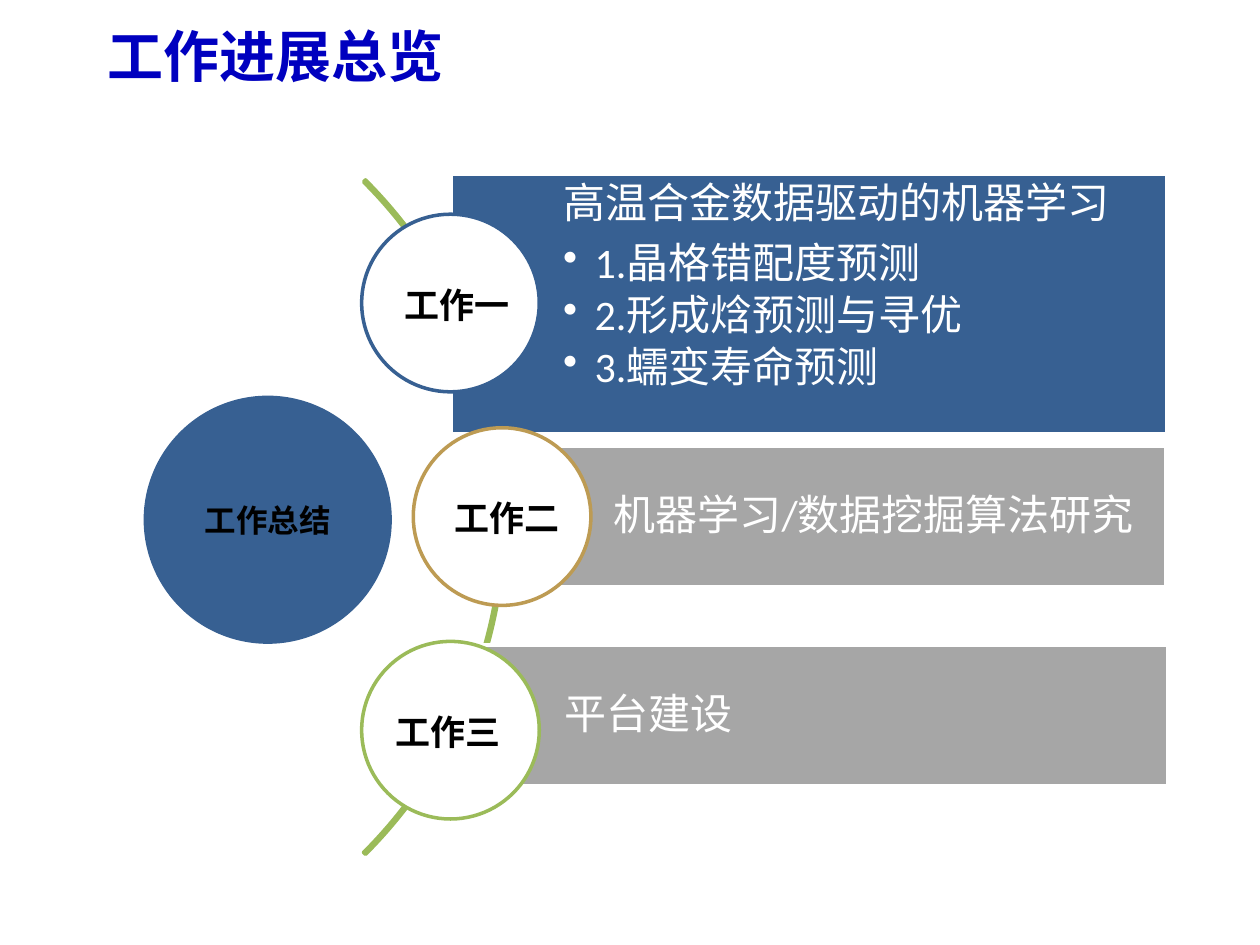
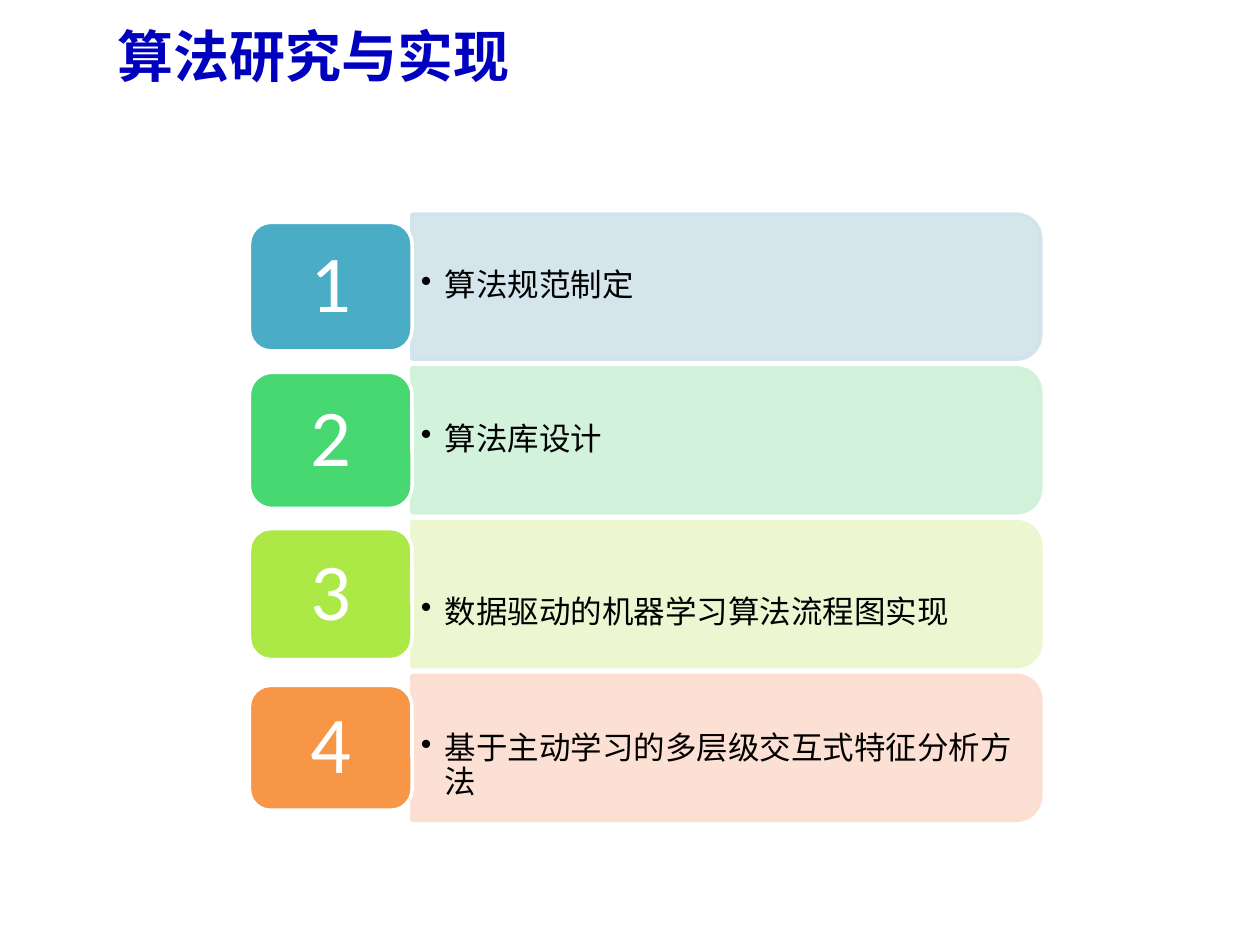
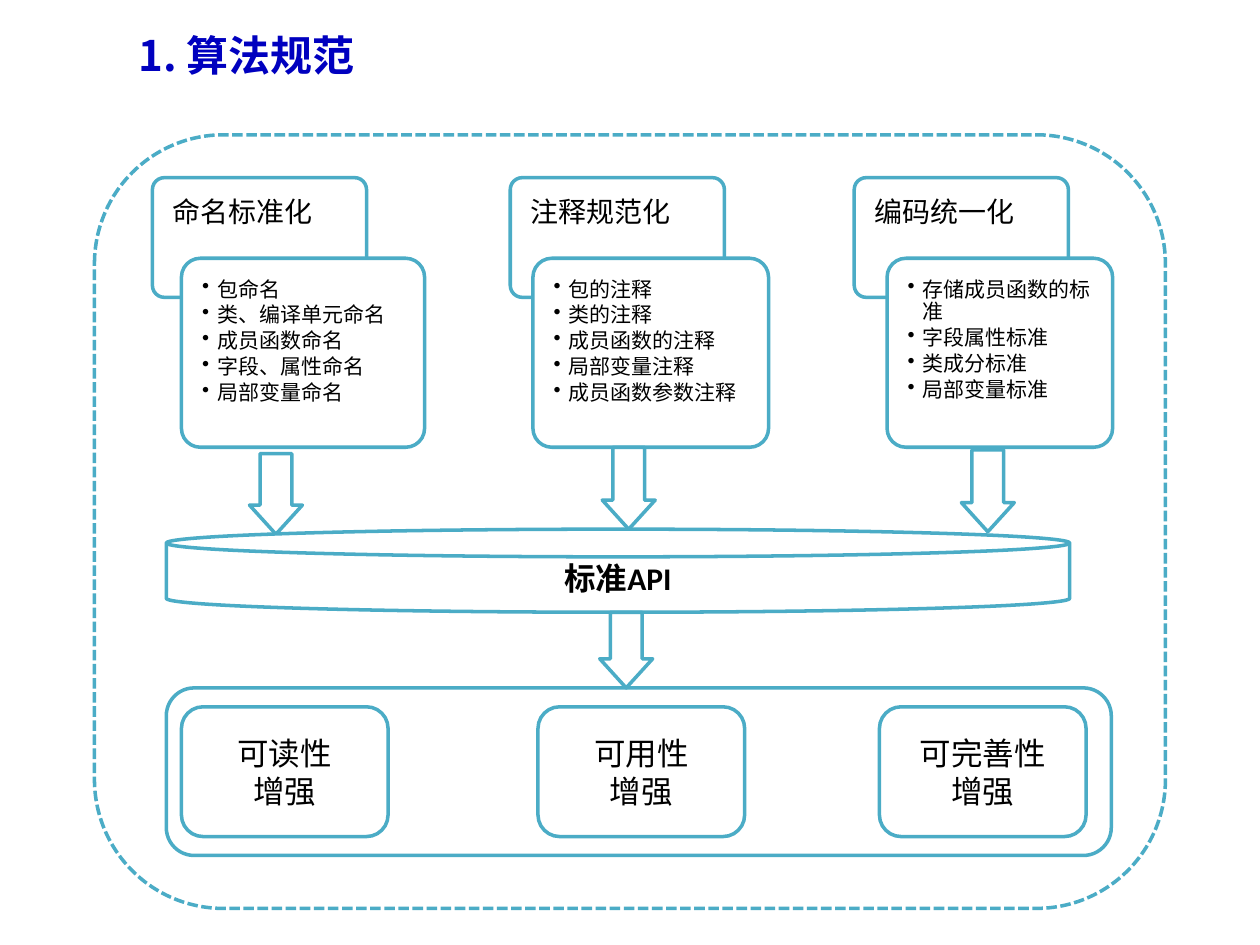
from lxml.etree import SubElement
from pptx import Presentation
from pptx.dml.color import RGBColor
from pptx.enum.dml import MSO_LINE
from pptx.enum.shapes import MSO_SHAPE as KIND
from pptx.enum.text import MSO_ANCHOR, PP_ALIGN
from pptx.oxml.ns import qn
from pptx.util import Emu, Inches, Pt

WIDE, HIGH = Inches(10), Inches(7.5)
COLS, ROWS = 100, 75
NAVY, GRAY, GREEN, GOLD, TEAL = "376092", "A6A6A6", "9BBB59", "BD9B53", "4BACC6"
BLUE, BLACK, WHITE = "0000BF", "000000", "FFFFFF"
BODY, HEAD = "Calibri", "Noto Sans CJK SC"
LEFT, MID = PP_ALIGN.LEFT, PP_ALIGN.CENTER
TOP, CENTER = MSO_ANCHOR.TOP, MSO_ANCHOR.MIDDLE


def across(cols):
    """Return the length of a number of grid columns."""
    return Emu(round(WIDE * cols / COLS))


def down(rows):
    """Return the length of a number of grid rows."""
    return Emu(round(HIGH * rows / ROWS))


def cell(left, top, wide, high):
    """Turn grid places into slide lengths."""
    return across(left), down(top), across(wide), down(high)


def paint(fmt, tone, alpha=None):
    """Give a fill or line format a solid colour."""
    fmt.solid()
    fmt.fore_color.rgb = RGBColor.from_string(tone)
    if alpha:
        for node in fmt._xPr.iter(qn("a:srgbClr")):
            SubElement(node, qn("a:alpha"), val=str(alpha * 1000))


def dot(para, indent):
    """Add a hanging bullet to a paragraph."""
    para.level = 1
    props = para._p.get_or_add_pPr()
    props.set("marL", str(across(indent)))
    props.set("indent", str(-across(indent)))
    SubElement(props, qn("a:buChar"), char="•")


def style(para, size, tone=BLACK, bold=False, face=BODY):
    """Format the runs of a paragraph."""
    for run in para.runs:
        run.font.name, run.font.size, run.font.bold = face, Pt(size), bold
        paint(run.font.fill, tone)


def write(shape, lines, size, tone=BLACK, bold=False, align=LEFT,
          anchor=CENTER, pad=(1, 0.5, 1, 0.5), indent=0, plain=0, tight=False):
    """Fill a shape with paragraphs, bulleted after the plain ones."""
    frame = shape.text_frame
    frame.word_wrap, frame.vertical_anchor = True, anchor
    frame.margin_left, frame.margin_right = across(pad[0]), across(pad[2])
    frame.margin_top, frame.margin_bottom = down(pad[1]), down(pad[3])
    frame.text = "\n".join(lines)
    for spot, para in enumerate(frame.paragraphs):
        listed = indent and spot >= plain
        if listed:
            dot(para, indent)
        para.alignment = align
        if tight:
            para.line_spacing = 0.9
            para.space_after = Pt(size * (0.15 if listed else 0.35))
        style(para, size, tone, bold)


def form(slide, kind, place, fill=WHITE, edge=None, alpha=None, bends=()):
    """Draw a preset shape on the grid."""
    shape = slide.shapes.add_shape(kind, *cell(*place))
    shape.shadow.inherit = False
    paint(shape.fill, fill, alpha)
    if edge:
        paint(shape.line.fill, edge, alpha)
        shape.line.width = Pt(2)
    else:
        shape.line.fill.background()
    for spot, bend in enumerate(bends):
        shape.adjustments[spot] = bend
    return shape


def label(slide, place, lines, size, **look):
    """Place free text on the grid."""
    write(slide.shapes.add_textbox(*cell(*place)), lines, size, **look)


def start(deck, text, left, size=32):
    """Add a slide with its title."""
    slide = deck.slides.add_slide(deck.slide_layouts[5])
    title = slide.shapes.title
    title.left, title.top, title.width, title.height = cell(left, 0, 90, 8.7)
    title.text_frame.text = text
    para = title.text_frame.paragraphs[0]
    para.alignment = LEFT
    style(para, size, BLUE, True, HEAD)
    for run in para.runs:
        SubElement(run._r.get_or_add_rPr(), qn("a:ea"), typeface=HEAD)
    return slide


def survey(deck):
    """Build the overview of the three works."""
    slide = start(deck, "工作进展总览", 7.5)
    hub = form(slide, KIND.OVAL, (11.4, 31.4, 19.7, 19.7), NAVY)
    write(hub, ["工作总结"], 18, bold=True, align=MID)
    form(slide, KIND.BLOCK_ARC, (-35.6, 3.2, 75.7, 75.7), GREEN, GREEN,
         bends=(189, 27, 0.003))
    works = [
        ("工作一", 31.1, 28.7, NAVY, (35.8, 13.8, 56.8, 20.6), NAVY, TOP,
         ["高温合金数据驱动的机器学习", "1.晶格错配度预测",
          "2.形成焓预测与寻优", "3.蠕变寿命预测"]),
        ("工作二", 35.1, 32.8, GOLD, (39.8, 35.4, 52.7, 11.2), GRAY, CENTER,
         ["机器学习/数据挖掘算法研究"]),
        ("工作三", 30.4, 28.7, GREEN, (35.9, 51.2, 56.8, 11.2), GRAY, CENTER,
         ["平台建设"]),
    ]
    for spot, (name, text, ring, edge, place, fill, anchor, lines) in enumerate(works):
        bar = form(slide, KIND.RECTANGLE, place, fill, WHITE)
        write(bar, lines, 24, WHITE, anchor=anchor, pad=(8.9, 0.7, 0.7, 0.7),
              indent=2.5, plain=1, tight=True)
        top = 17 + 16.95 * spot
        form(slide, KIND.OVAL, (ring, top, 14.1, 14.1), WHITE, edge)
        label(slide, (text, top + 5, 11.1, 4.4), [name], 20, bold=True, anchor=TOP)


def agenda(deck):
    """Build the four numbered rows."""
    slide = start(deck, "算法研究与实现", 8.3)
    items = [
        ("算法规范制定", TEAL, "D0E3EA", 10.2, 0.4),
        ("算法库设计", "47D872", "CFF1D9", 10.8, 0.4),
        ("数据驱动的机器学习算法流程图实现", "ACE946", "EBF7CE", 10.4, 3.4),
        ("基于主动学习的多层级交互式特征分析方法", "F79646", "FCDDCF", 9.9, 3.4),
    ]
    long, thick = 49.9, 11.5
    for spot, (text, tone, pale, high, drop) in enumerate(items):
        mid = 22.75 + 12.2 * spot
        band = form(slide, KIND.ROUND_2_SAME_RECTANGLE,
                    (32.7 + (long - thick) / 2, mid - long / 2, thick, long),
                    pale, pale, 90)
        band.rotation = 90
        label(slide, (32.7, mid - 5.15, 49.3, 10.3), [text], 18,
              pad=(0.7, drop, 0.7, 0.4), indent=1.9, tight=True)
        tile = form(slide, KIND.ROUNDED_RECTANGLE,
                    (19.8, mid - high / 2, 12.9, high), tone, WHITE)
        write(tile, [str(spot + 1)], 46, WHITE, align=MID,
              pad=(2.4, 1.5, 2.4, 1.5), tight=True)


def arrow(slide, left, top, high):
    """Draw a block arrow that points down."""
    form(slide, KIND.DOWN_ARROW, (left, top, 4.2, high), WHITE, TEAL,
         bends=(0.6, 0.55))


def rules(deck):
    """Build the flow from rules to gains."""
    slide = start(deck, "1. 算法规范", 10, 24)
    panel = form(slide, KIND.ROUNDED_RECTANGLE, (7.5, 10.7, 85, 61.4), WHITE, TEAL)
    panel.line.dash_style = MSO_LINE.SQUARE_DOT
    cards = [
        ("命名标准化", 12.1, 14.4, 19.3, (19.8, 36, 6.4),
         ["包命名", "类、编译单元命名", "成员函数命名", "字段、属性命名", "局部变量命名"]),
        ("注释规范化", 40.5, 42.3, 18.7, (47.8, 35.5, 6.5),
         ["包的注释", "类的注释", "成员函数的注释", "局部变量注释", "成员函数参数注释"]),
        ("编码统一化", 67.8, 70.4, 17.9, (76.3, 35.7, 6.5),
         ["存储成员函数的标准", "字段属性标准", "类成分标准", "局部变量标准"]),
    ]
    for name, back, front, wide, point, lines in cards:
        tab = form(slide, KIND.ROUNDED_RECTANGLE, (back, 14.1, 17, 9.5),
                   WHITE, TEAL, bends=(0.1,))
        write(tab, [name], 16, anchor=TOP, pad=(1.35, 1.35, 1.35, 4), tight=True)
        card = form(slide, KIND.ROUNDED_RECTANGLE, (front, 20.5, wide, 15),
                    WHITE, TEAL, bends=(0.1,))
        write(card, lines, 12, anchor=TOP, pad=(1.2, 1.2, 1.2, 1.2),
              indent=1.2, tight=True)
        arrow(slide, *point)
    form(slide, KIND.FLOWCHART_ALTERNATE_PROCESS, (13.2, 54.6, 75, 13.3), WHITE, TEAL)
    for left, gain in ((14.4, "可读性"), (42.7, "可用性"), (69.8, "可完善性")):
        box = form(slide, KIND.FLOWCHART_ALTERNATE_PROCESS,
                   (left, 56.1, 16.4, 10.3), WHITE, TEAL)
        write(box, [gain, "增强"], 18, align=MID)
    disk = form(slide, KIND.FLOWCHART_MAGNETIC_DISK, (13.2, 42, 71.7, 6.6), WHITE, TEAL)
    write(disk, ["标准API"], 18, bold=True, align=MID)
    arrow(slide, 47.6, 48.6, 6)


def main():
    """Build and save the slides."""
    deck = Presentation()
    deck.slide_width, deck.slide_height = WIDE, HIGH
    survey(deck)
    agenda(deck)
    rules(deck)
    deck.save("out.pptx")


if __name__ == "__main__":
    main()
